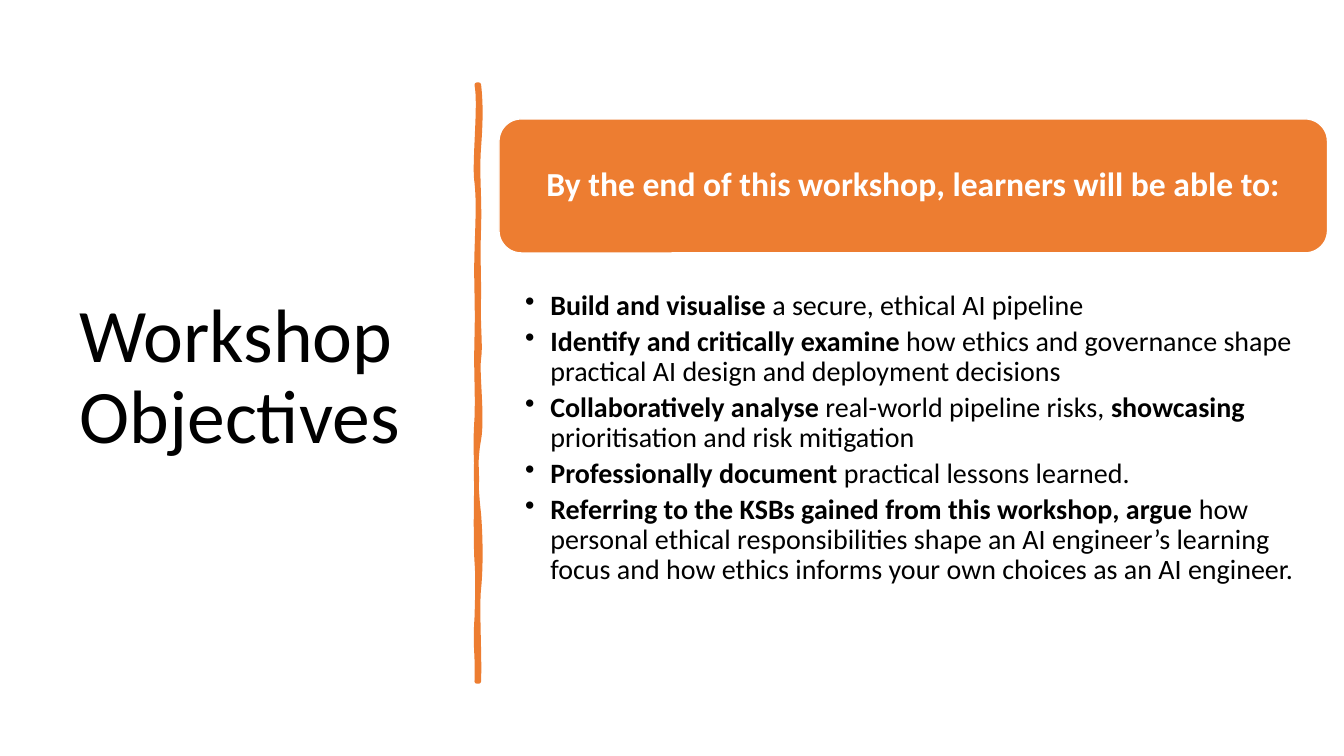
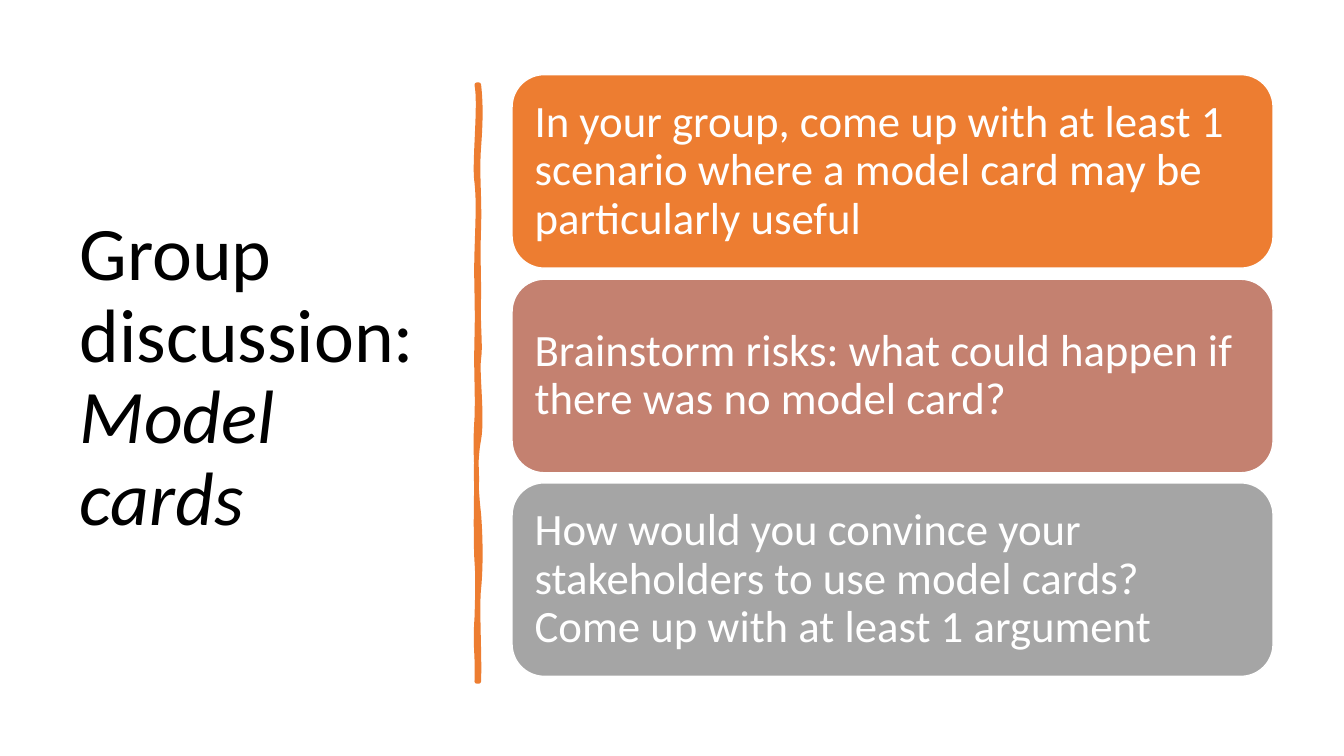
import math
from dataclasses import dataclass

from lxml import etree
from pptx import Presentation, util as u
from pptx.dml.color import RGBColor
from pptx.enum import shapes, text
from pptx.oxml import ns

PX = 9144  # EMU in one px: 100 px to the inch


@dataclass(frozen=True)
class Theme:
    font: str = "Calibri"
    ink: RGBColor = RGBColor(0x00, 0x00, 0x00)
    white: RGBColor = RGBColor(0xFF, 0xFF, 0xFF)
    orange: RGBColor = RGBColor(0xED, 0x7D, 0x31)
    rose: RGBColor = RGBColor(0xC4, 0x81, 0x70)
    grey: RGBColor = RGBColor(0xA5, 0xA5, 0xA5)
    title: u.Pt = u.Pt(54)
    card: u.Pt = u.Pt(32)
    heading: u.Pt = u.Pt(24)
    body: u.Pt = u.Pt(20)


theme = Theme()
BOLD = {"bold": True}
ITALIC = {"italic": True}

# Each row is two control points and an end point of a hand-drawn rule, in px
RULE_START = (475, 84)
RULE_CURVES = [
    ((477, 102), (477, 119), (475, 146)),
    ((473, 173), (476, 195), (475, 226)),
    ((474, 257), (475, 262), (475, 294)),
    ((474, 325), (477, 342), (475, 356)),
    ((473, 370), (479, 414), (475, 436)),
    ((471, 457), (472, 484), (475, 510)),
    ((477, 536), (477, 564), (475, 584)),
    ((473, 603), (476, 650), (475, 676)),
    ((474, 676), (473, 676), (473, 676)),
    ((474, 646), (471, 644), (473, 613)),
    ((474, 583), (474, 570), (473, 557)),
    ((472, 544), (472, 495), (473, 477)),
    ((473, 459), (471, 445), (473, 415)),
    ((474, 386), (472, 373), (473, 335)),
    ((474, 298), (472, 281), (473, 250)),
    ((474, 218), (475, 200), (473, 181)),
    ((470, 163), (477, 104), (473, 84)),
]

TITLES = [
    [("Workshop Objectives", {})],
    [("Group discussion: ", {}), ("Model cards", ITALIC)],
]
HEADING = "By the end of this workshop, learners will be able to:"
OBJECTIVES = [
    [("Build and visualise", BOLD), (" a secure, ethical AI pipeline", {})],
    [("Identify and critically examine", BOLD),
     (" how ethics and governance shape practical AI design and deployment decisions", {})],
    [("Collaboratively analyse ", BOLD), ("real-world pipeline risks, ", {}),
     ("showcasing", BOLD), (" prioritisation and risk mitigation", {})],
    [("Professionally document ", BOLD), ("practical lessons learned.", {})],
    [("Referring to the KSBs gained from this workshop, argue ", BOLD),
     ("how personal ethical responsibilities shape an AI engineer’s learning focus "
      "and how ethics informs your own choices as an AI engineer.", {})],
]
CARDS = [
    ("In your group, come up with at least 1 scenario where a model card may be "
     "particularly useful", theme.orange),
    ("Brainstorm risks: what could happen if there was no model card?", theme.rose),
    ("How would you convince your stakeholders to use model cards? "
     "Come up with at least 1 argument", theme.grey),
]


def write(box, paragraphs, size, color, margins, anchor=text.MSO_ANCHOR.MIDDLE,
          align=text.PP_ALIGN.LEFT):
    """Fill a box with paragraphs, each a list of (words, font changes)."""
    frame = box.text_frame
    layout = {"word_wrap": True, "auto_size": text.MSO_AUTO_SIZE.NONE, "vertical_anchor": anchor}
    for side, margin in zip(("left", "top", "right", "bottom"), margins):
        layout[f"margin_{side}"] = margin * PX
    for name, value in layout.items():
        setattr(frame, name, value)
    for index, spans in enumerate(paragraphs):
        para = frame.add_paragraph() if index else frame.paragraphs[0]
        para.alignment = align
        para.line_spacing = 0.9
        for words, changes in spans:
            span = para.add_run()
            span.text = words
            span.font.color.rgb = color
            for name, value in {"name": theme.font, "size": size, **changes}.items():
                setattr(span.font, name, value)


def add_panel(page, left, top, width, height, fill):
    panel = page.shapes.add_shape(shapes.MSO_SHAPE.ROUNDED_RECTANGLE,
                                  *(n * PX for n in (left, top, width, height)))
    panel.shadow.inherit = False
    panel.fill.solid()
    panel.fill.fore_color.rgb = fill
    panel.line.color.rgb = theme.white
    panel.line.width = u.Pt(1)
    return panel


deck = Presentation()
deck.slide_width = u.Emu(12192000)
deck.slide_height = u.Inches(7.5)

# Shared title and hand-drawn rule
pages = []
for title_spans in TITLES:
    page = deck.slides.add_slide(deck.slide_layouts[5])
    title = page.shapes.title
    for name, value in {"left": 69, "top": 70, "width": 374, "height": 611}.items():
        setattr(title, name, value * PX)
    write(title, [title_spans], theme.title, theme.ink, (10, 5, 10, 5))

    builder = page.shapes.build_freeform(*RULE_START, scale=PX)
    builder.add_line_segments([curve[-1] for curve in RULE_CURVES], close=True)
    rule = builder.convert_to_shape()
    rule.shadow.inherit = False
    rule.fill.solid()
    rule.fill.fore_color.rgb = theme.orange
    rule.line.color.rgb = theme.orange
    rule.line.width = u.Pt(3.25)
    # Bend each straight segment into its cubic curve
    left, top = rule.left // PX, rule.top // PX
    segments = list(rule._element.iter(ns.qn("a:lnTo")))
    for segment, curve in zip(segments, RULE_CURVES):
        segment.tag = ns.qn("a:cubicBezTo")
        for child in list(segment):
            segment.remove(child)
        for x, y in curve:
            etree.SubElement(segment, ns.qn("a:pt"), x=str(x - left), y=str(y - top))
    pages.append(page)
objectives_page, discussion_page = pages

# Workshop objectives
heading = add_panel(objectives_page, 495, 118, 822, 133, theme.orange)
write(heading, [[(HEADING, BOLD)]], theme.heading, theme.white, (10, 10, 10, 10),
      align=text.PP_ALIGN.CENTER)

objectives = objectives_page.shapes.add_textbox(*(n * PX for n in (495, 286, 822, 309)))
write(objectives, OBJECTIVES, theme.body, theme.ink, (26, 3, 16, 3), text.MSO_ANCHOR.TOP)
for para in objectives.text_frame.paragraphs:
    para.space_after = u.Pt(4)
    properties = para._p.get_or_add_pPr()
    properties.set("marL", str(25 * PX))
    properties.set("indent", str(-25 * PX))
    etree.SubElement(properties, ns.qn("a:buChar")).set("char", "•")

# Group discussion
CARD_TOP, LAST_CARD_TOP = 74, 479
pitch = (LAST_CARD_TOP - CARD_TOP) / (len(CARDS) - 1)
for index, (words, fill) in enumerate(CARDS):
    card = add_panel(discussion_page, 508, math.ceil(CARD_TOP + index * pitch), 755, 192, fill)
    write(card, [[(words, {})]], theme.card, theme.white, (13, 13, 13, 13))

deck.save("out.pptx")
